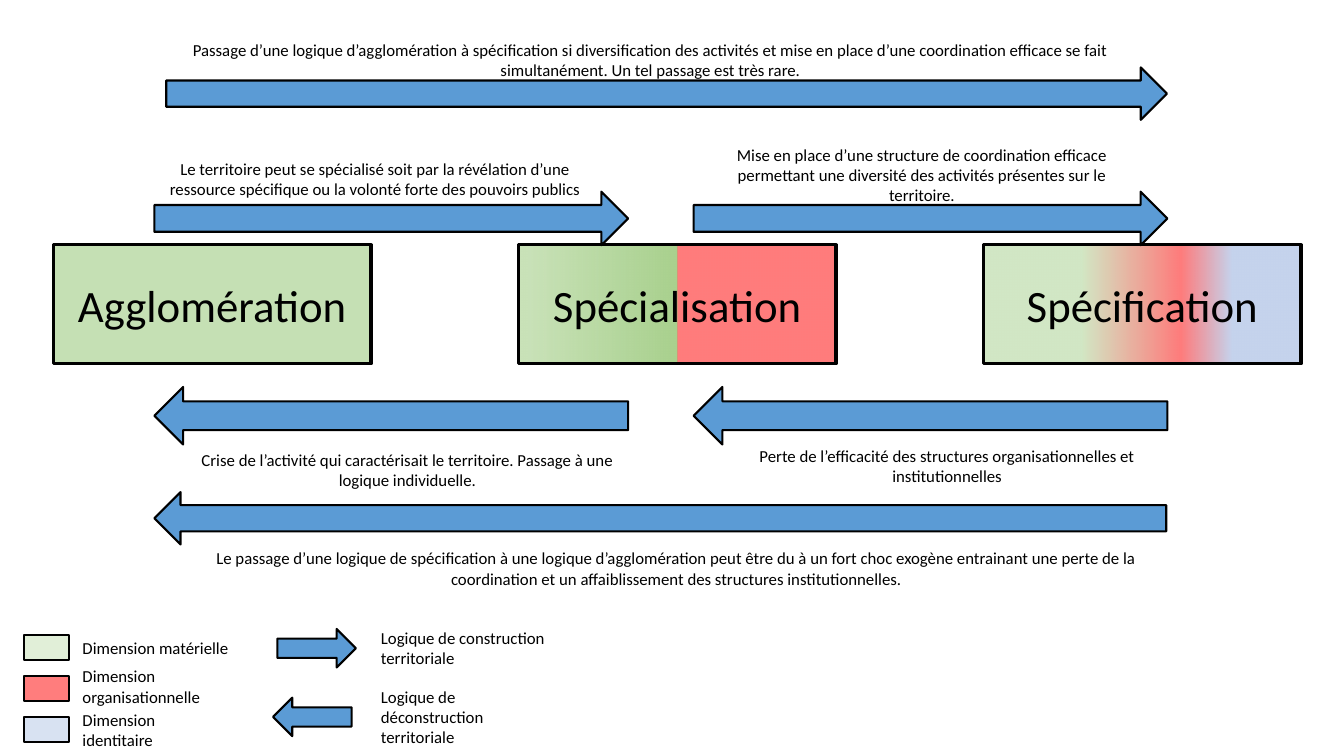
from dataclasses import dataclass

from lxml.etree import SubElement
from pptx import Presentation
from pptx.dml.color import RGBColor
from pptx.enum.shapes import MSO_SHAPE
from pptx.enum.text import MSO_ANCHOR, PP_ALIGN
from pptx.oxml.ns import qn
from pptx.util import Cm, Pt


@dataclass(frozen=True)
class Theme:
    font: str = "Calibri"
    ink: str = "000000"
    arrow: str = "5B9BD5"
    material: str = "C5E0B4"
    material_deep: str = "A9D18E"
    organisation: str = "FF0000"
    identity: str = "B4C7E7"
    identity_deep: str = "8FAADC"
    heading: int = 32
    body: int = 12
    thick: float = 2.25
    thin: float = 1.5


THEME = Theme()

LOGICS = [
    ("Agglomération", [(0, THEME.material, 100)]),
    ("Spécialisation", [(3, THEME.material_deep, 62), (50, THEME.material_deep, 100),
                        (50, THEME.organisation, 51)]),
    ("Spécification", [(31, THEME.material_deep, 51), (62, THEME.organisation, 51),
                       (78, THEME.identity_deep, 51)]),
]

CONSTRUCTION_ARROWS = [
    (3.89, 4.83, 11.94, 1.35), (17.48, 4.83, 11.94, 1.35),
    (4.19, 1.7, 25.22, 1.32), (6.99, 15.85, 1.98, 0.97),
]
DECONSTRUCTION_ARROWS = [
    (3.89, 9.75, 11.94, 1.45), (17.48, 9.75, 11.94, 1.45),
    (3.89, 12.4, 25.5, 1.32), (6.88, 17.58, 1.98, 0.97),
]

MIDDLE, TOP = MSO_ANCHOR.MIDDLE, MSO_ANCHOR.TOP
PASSAGES = [
    ((3.89, 3.86, 11.13, 1.28), MIDDLE,
     "Le territoire peut se spécialisé soit par la révélation d’une ressource "
     "spécifique ou la volonté forte des pouvoirs publics"),
    ((17.7, 3.51, 11.07, 1.8), TOP,
     "Mise en place d’une structure de coordination efficace permettant une "
     "diversité des activités présentes sur le territoire."),
    ((4.24, 0.86, 24.31, 1.28), MIDDLE,
     "Passage d’une logique d’agglomération à spécification si diversification des "
     "activités et mise en place d’une coordination efficace se fait simultanément. "
     "Un tel passage est très rare."),
    ((18.36, 11.1, 11.02, 1.28), TOP,
     "Perte de l’efficacité des structures organisationnelles et institutionnelles"),
    ((4.72, 11.2, 11.1, 1.28), TOP,
     "Crise de l’activité qui caractérisait le territoire. Passage à une logique "
     "individuelle."),
    ((4.72, 13.69, 24.66, 1.28), TOP,
     "Le passage d’une logique de spécification à une logique d’agglomération peut "
     "être du à un fort choc exogène entrainant une perte de la coordination et un "
     "affaiblissement des structures institutionnelles."),
]

DIMENSIONS = [THEME.material, THEME.organisation, THEME.identity]
LEGEND_LABELS = [
    ((1.83, 15.95, 5.79, 0.76), "Dimension matérielle"),
    ((1.83, 16.66, 3.89, 1.28), "Dimension organisationnelle"),
    ((1.83, 17.75, 3.58, 1.28), "Dimension identitaire"),
    ((9.35, 15.7, 4.93, 1.28), "Logique de construction territoriale"),
    ((9.35, 17.17, 4.83, 1.8), "Logique de déconstruction territoriale"),
]


def apply_format(target, values):
    for attribute, value in values.items():
        setattr(target, attribute, value)


def add_colour(parent, colour, opacity):
    node = SubElement(parent, qn("a:srgbClr"), val=colour)
    if opacity < 100:
        SubElement(node, qn("a:alpha"), val=str(opacity * 1000))


def paint(shape, stops):
    if len(stops) == 1:
        _, colour, opacity = stops[0]
        shape.fill.solid()
        shape.fill.fore_color.rgb = RGBColor.from_string(colour)
        if opacity < 100:
            solid = shape.fill._xPr.find(qn("a:solidFill"))
            solid.remove(solid[0])
            add_colour(solid, colour, opacity)
        return
    shape.fill.gradient()
    shape.fill.gradient_angle = 0
    stop_list = shape.fill._xPr.find(qn("a:gradFill")).find(qn("a:gsLst"))
    for default_stop in list(stop_list):
        stop_list.remove(default_stop)
    for position, colour, opacity in stops:
        stop = SubElement(stop_list, qn("a:gs"), pos=str(position * 1000))
        add_colour(stop, colour, opacity)


def write(shape, wording, size, align, anchor):
    apply_format(shape.text_frame, {"word_wrap": True, "vertical_anchor": anchor})
    paragraph = shape.text_frame.paragraphs[0]
    paragraph.alignment = align
    run = paragraph.add_run()
    run.text = wording
    apply_format(run.font, {"name": THEME.font, "size": Pt(size)})
    run.font.color.rgb = RGBColor.from_string(THEME.ink)


def add_outlined(slide, preset, box, stops, weight):
    shape = slide.shapes.add_shape(preset, *map(Cm, box))
    shape.shadow.inherit = False
    paint(shape, stops)
    shape.line.color.rgb = RGBColor.from_string(THEME.ink)
    shape.line.width = Pt(weight)
    return shape


def add_logic(slide, left, wording, stops):
    logic = add_outlined(slide, MSO_SHAPE.RECTANGLE, (left, 6.17, 8, 3), stops, THEME.thick)
    write(logic, wording, THEME.heading, PP_ALIGN.CENTER, MIDDLE)


def add_arrow(slide, box, rotation):
    arrow = add_outlined(slide, MSO_SHAPE.RIGHT_ARROW, box,
                         [(0, THEME.arrow, 100)], THEME.thin)
    arrow.rotation = rotation


def add_label(slide, box, wording, align=PP_ALIGN.LEFT, anchor=TOP):
    label = slide.shapes.add_textbox(*map(Cm, box))
    write(label, wording, THEME.body, align, anchor)


def add_swatch(slide, top, colour):
    add_outlined(slide, MSO_SHAPE.RECTANGLE, (0.61, top, 1.12, 0.64),
                 [(0, colour, 51)], THEME.thin)


def main():
    deck = Presentation()
    apply_format(deck, {"slide_width": Cm(33.87), "slide_height": Cm(19.05)})
    slide = deck.slides.add_slide(deck.slide_layouts[6])

    for column, (wording, stops) in enumerate(LOGICS):
        add_logic(slide, 1.35 + column * 11.72, wording, stops)
    for rotation, boxes in ((0, CONSTRUCTION_ARROWS), (180, DECONSTRUCTION_ARROWS)):
        for box in boxes:
            add_arrow(slide, box, rotation)
    for box, anchor, wording in PASSAGES:
        add_label(slide, box, wording, PP_ALIGN.CENTER, anchor)
    for row, colour in enumerate(DIMENSIONS):
        add_swatch(slide, 16 + row * 1.03, colour)
    for box, wording in LEGEND_LABELS:
        add_label(slide, box, wording)

    deck.save("out.pptx")


main()
